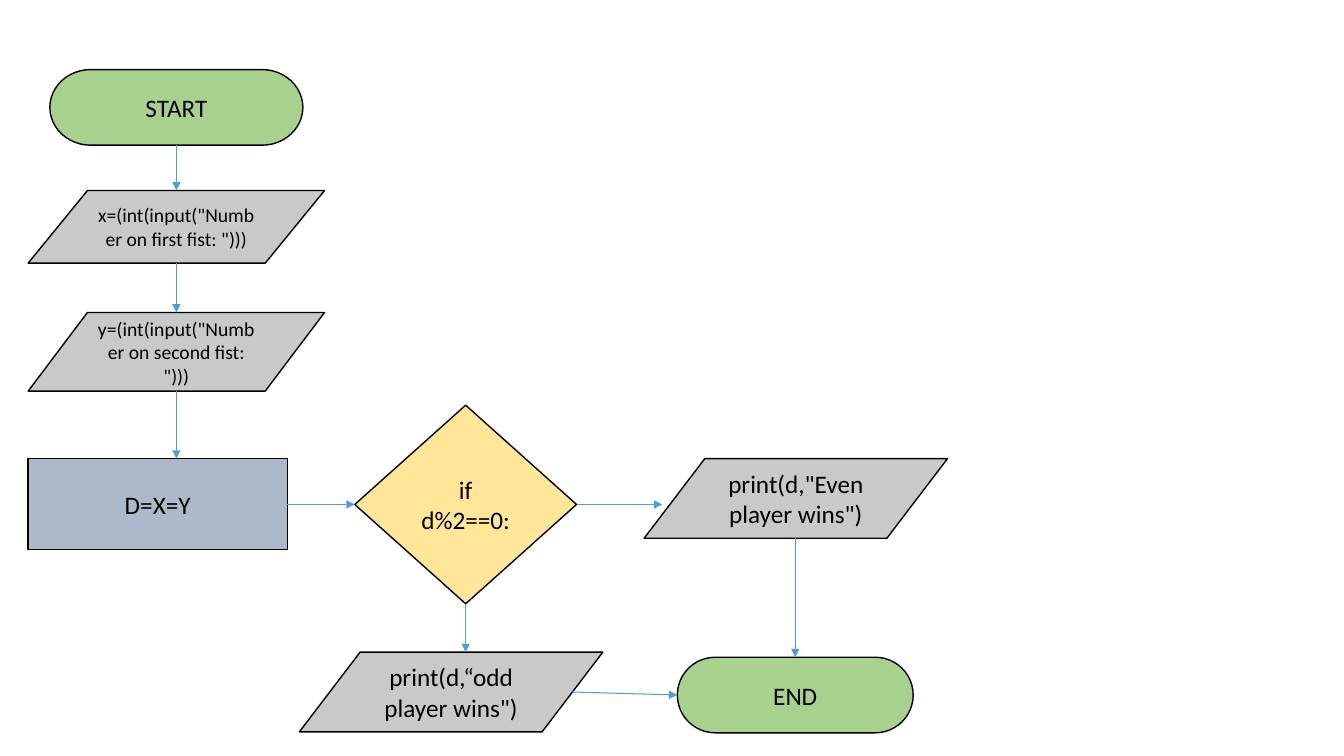
"""Flowchart of a two-player odd-or-even game."""
from dataclasses import dataclass
from itertools import pairwise

from lxml import etree
from pptx import Presentation
from pptx import util as u
from pptx.dml import color
from pptx.enum import shapes, text
from pptx.oxml import ns

CELL = u.Inches(1 / 12)


@dataclass(frozen=True)
class Theme:
    """Fonts, sizes and colours of the flowchart."""
    font: str = "Calibri"
    body: int = 18
    small: int = 14
    ink: str = "000000"
    arrow: str = "4F9CE1"
    terminal: str = "A9D18E"
    data: str = "C9C9C9"
    process: str = "ADB9CA"
    decision: str = "FFE699"
    outline: float = 1
    arrow_width: float = 0.75


THEME = Theme()
KINDS = {
    "terminal": shapes.MSO_SHAPE.FLOWCHART_TERMINATOR,
    "data": shapes.MSO_SHAPE.FLOWCHART_DATA,
    "process": shapes.MSO_SHAPE.RECTANGLE,
    "decision": shapes.MSO_SHAPE.FLOWCHART_DECISION,
}


def add_step(slide, box, kind, label, place, size=THEME.body):
    """Add one labelled step at columns and rows counted from the box corner."""
    left, top, width, height = place
    cells = (box[0] + left, box[1] + top, width, height)
    step = slide.shapes.add_shape(KINDS[kind], *(round(cell * CELL) for cell in cells))
    step.shadow.inherit = False
    step.fill.solid()
    step.fill.fore_color.rgb = color.RGBColor.from_string(getattr(THEME, kind))
    step.line.color.rgb = color.RGBColor.from_string(THEME.ink)
    step.line.width = u.Pt(THEME.outline)
    step.text_frame.vertical_anchor = text.MSO_ANCHOR.MIDDLE
    paragraph = step.text_frame.paragraphs[0]
    paragraph.alignment = text.PP_ALIGN.CENTER
    run = paragraph.add_run()
    run.text = label
    run.font.name = THEME.font
    run.font.size = u.Pt(size)
    run.font.color.rgb = color.RGBColor.from_string(THEME.ink)
    return step


def point(step, across, down):
    """Return the point at the given shares of a step's width and height."""
    return (round(step.left + across * step.width),
            round(step.top + down * step.height))


def add_arrow(slide, start, end):
    """Draw a straight arrow from start to end."""
    arrow = slide.shapes.add_connector(shapes.MSO_CONNECTOR.STRAIGHT, *start, *end)
    arrow.line.color.rgb = color.RGBColor.from_string(THEME.arrow)
    arrow.line.width = u.Pt(THEME.arrow_width)
    properties = arrow.element.spPr
    etree.SubElement(properties.find(ns.qn("a:ln")), ns.qn("a:tailEnd"), type="triangle")
    etree.SubElement(properties, ns.qn("a:effectLst"))


def add_input_column(slide, box):
    """Stack the start, both inputs and the sum; return the sum step."""
    width = box[2]
    start_width = 30.12
    steps = [
        add_step(slide, box, "terminal", "START",
                 ((width - start_width) / 2, 0, start_width, 9)),
        add_step(slide, box, "data", 'x=(int(input("Number on first fist: ")))',
                 (0, 14.4, width, 8.64), THEME.small),
        add_step(slide, box, "data", 'y=(int(input("Number on second fist: ")))',
                 (0, 28.92, width, 9.36), THEME.small),
        add_step(slide, box, "process", "D=X=Y", (0, 46.32, 30.84, 10.8)),
    ]
    axis = point(steps[0], 0.5, 0)[0]
    for upper, lower in pairwise(steps):
        add_arrow(slide, (axis, point(upper, 0, 1)[1]), (axis, lower.top))
    return steps[-1]


def add_outcomes(slide, box, total):
    """Place the parity test, both results and the end, fed by the total."""
    print_size = (36.12, 9.48)
    parity = add_step(slide, box, "decision", "if d%2==0:", (6.6, 0, 26.4, 23.64))
    odd = add_step(slide, box, "data", "print(d,\u201codd player wins\")",
                   (0, box[3] - 9.6, *print_size))
    even = add_step(slide, box, "data", 'print(d,"Even player wins")',
                    (box[2] - print_size[0], 6.36, *print_size))
    end = add_step(slide, box, "terminal", "END", (45, box[3] - 9, 28.08, 9))
    test_row = point(parity, 0, 0.5)[1]
    end_axis = point(end, 0.5, 0)
    add_arrow(slide, (point(total, 1, 0)[0], test_row), point(parity, 0, 0.5))
    add_arrow(slide, point(parity, 1, 0.5), (point(even, 0.06, 0)[0], test_row))
    add_arrow(slide, point(parity, 0.5, 1), (point(parity, 0.5, 1)[0], odd.top))
    add_arrow(slide, point(odd, 0.9, 0.5), point(end, 0, 0.5))
    add_arrow(slide, (end_axis[0], point(even, 0, 1)[1]), end_axis)


def main():
    """Build the flowchart slide and save it."""
    deck = Presentation()
    deck.slide_width = 160 * CELL
    deck.slide_height = 90 * CELL
    slide = deck.slides.add_slide(deck.slide_layouts[6])
    total = add_input_column(slide, (3.36, 8.28, 35.28, 57.12))
    add_outcomes(slide, (35.64, 48.24, 77.16, 39), total)
    deck.save("out.pptx")


main()
